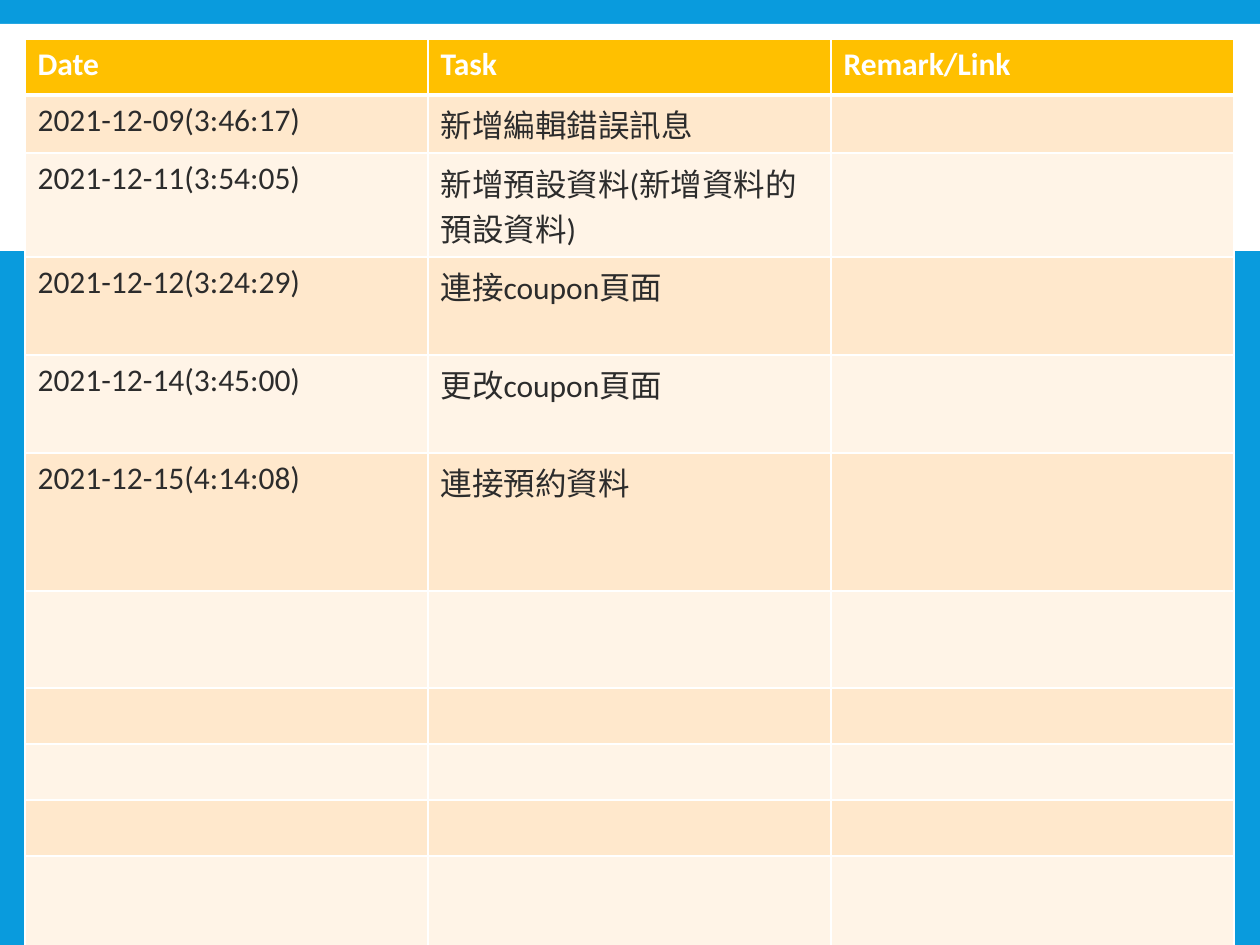
from dataclasses import dataclass
from typing import Any

from lxml.etree import SubElement
from pptx import Presentation
from pptx.dml.color import RGBColor
from pptx.enum.shapes import MSO_SHAPE as Shape
from pptx.oxml.ns import qn
from pptx.util import Pt

EMU_PER_PX = 914400 / 126
WHITE = RGBColor(0xFF, 0xFF, 0xFF)
BLUE = RGBColor(0x09, 0x9B, 0xDD)
GOLD = RGBColor(0xFF, 0xC0, 0x00)
PEACH = RGBColor(0xFF, 0xE8, 0xCC)
CREAM = RGBColor(0xFF, 0xF4, 0xE7)
INK = RGBColor(0x2C, 0x2C, 0x2C)

HEADERS = ("Date", "Task", "Remark/Link")
TASKS = (
    ("2021-12-09(3:46:17)", "新增編輯錯誤訊息"),
    ("2021-12-11(3:54:05)", "新增預設資料(新增資料的預設資料)"),
    ("2021-12-12(3:24:29)", "連接coupon頁面"),
    ("2021-12-14(3:45:00)", "更改coupon頁面"),
    ("2021-12-15(4:14:08)", "連接預約資料"),
)
ROW_HEIGHTS = (56, 56, 56, 98, 98, 138, 97, 56, 56, 56, 97)
COLUMN_WIDTH = 403


def px(length):
    return round(length * EMU_PER_PX)


@dataclass
class Painter:
    """Draws styled elements on the current slide."""

    page: Any
    font: str = "Calibri"
    size: int = 18

    def background(self, color):
        fill = self.page.background.fill
        fill.solid()
        fill.fore_color.rgb = color

    def band(self, left, top, width, height, color):
        box = self.page.shapes.add_shape(
            Shape.RECTANGLE, px(left), px(top), px(width), px(height))
        box.shadow.inherit = False
        box.fill.solid()
        box.fill.fore_color.rgb = color
        box.line.fill.background()

    def borders(self, cell, color, **widths):
        properties = cell._tc.get_or_add_tcPr()
        for index, side in enumerate("LRTB"):
            line = SubElement(properties, qn(f"a:ln{side}"),
                              w=str(Pt(widths.get(side, 1))))
            fill = SubElement(line, qn("a:solidFill"))
            SubElement(fill, qn("a:srgbClr"), val=str(color))
            properties.insert(index, line)

    def cell(self, cell, text, fill, color, bold):
        cell.fill.solid()
        cell.fill.fore_color.rgb = fill
        para = cell.text_frame.paragraphs[0]
        para.font.size = Pt(self.size)
        if text:
            span = para.add_run()
            span.text = text
            span.font.name = self.font
            span.font.size = Pt(self.size)
            span.font.bold = bold
            span.font.color.rgb = color

    def table(self, left, top, headers, records, heights, column_width):
        table = self.page.shapes.add_table(
            len(heights), len(headers), px(left), px(top),
            px(column_width * len(headers)), px(sum(heights))).table
        for column in table.columns:
            column.width = px(column_width)
        for index, height in enumerate(heights):
            table.rows[index].height = px(height)
            heading = index == 0
            values = headers if heading else records[index - 1:index]
            if not heading:
                values = values[0] if values else ()
            fill = GOLD if heading else PEACH if index % 2 else CREAM
            for column in range(len(headers)):
                text = values[column] if column < len(values) else ""
                cell = table.cell(index, column)
                self.cell(cell, text, fill, WHITE if heading else INK, heading)
                self.borders(cell, WHITE, T=3 if index == 1 else 1,
                             B=3 if heading else 1)


def main():
    deck = Presentation()
    deck.slide_width, deck.slide_height = px(1260), px(945)
    painter = Painter(deck.slides.add_slide(deck.slide_layouts[6]))
    painter.background(BLUE)
    painter.band(0, 24, 1260, 227, WHITE)
    painter.table(25, 39, HEADERS, TASKS, ROW_HEIGHTS, COLUMN_WIDTH)
    deck.save("out.pptx")


if __name__ == "__main__":
    main()
